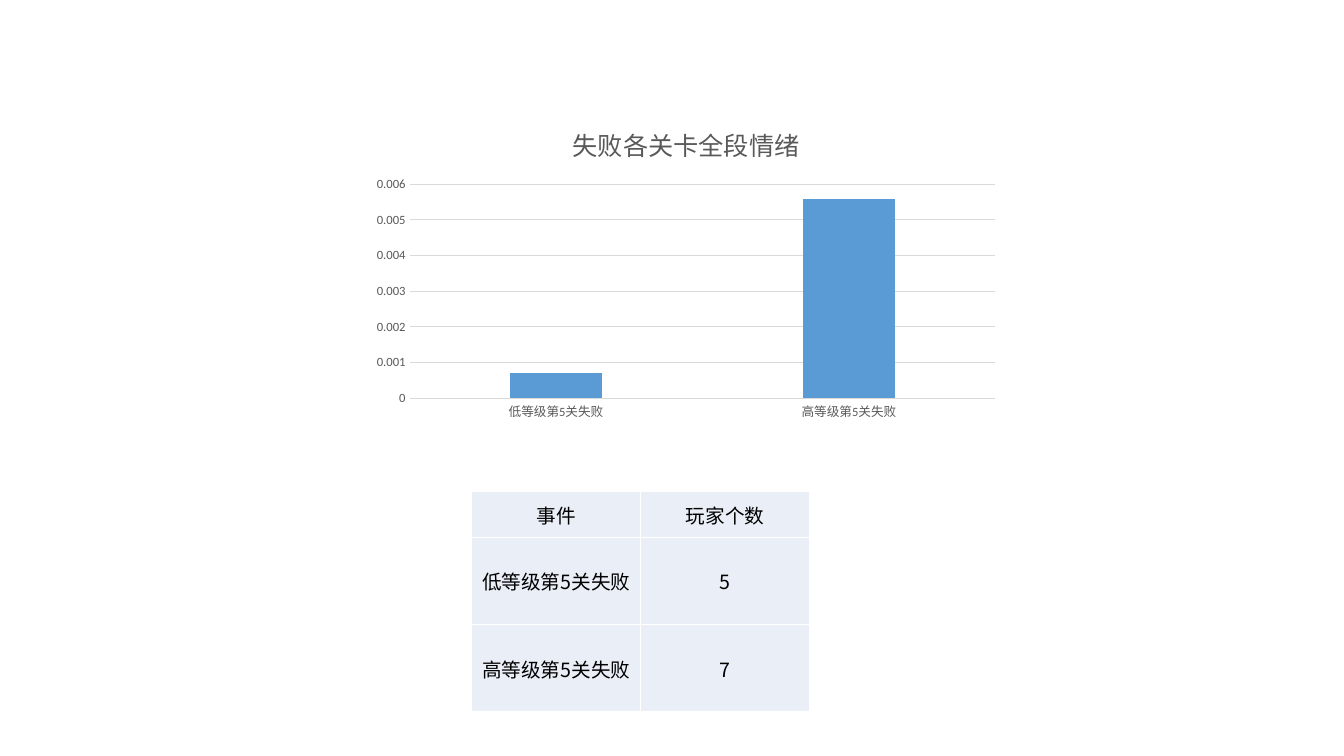
from lxml.etree import SubElement
from pptx import Presentation
from pptx.chart.data import CategoryChartData
from pptx.dml.color import RGBColor
from pptx.enum.chart import XL_CHART_TYPE, XL_TICK_MARK
from pptx.enum.text import MSO_ANCHOR, PP_ALIGN
from pptx.oxml.ns import qn
from pptx.util import Inches, Pt

COLORS = {"background": "FFFFFF", "bar": "5B9BD5", "label": "595959",
          "grid": "D9D9D9", "cell": "EAEFF7", "text": "000000"}
CHART_FONT, TABLE_FONT = "Calibri", "Noto Sans CJK SC"
LEVELS = ["低等级第5关失败", "高等级第5关失败"]
EMOTION = [0.0007, 0.0056]
ROWS = [("事件", "玩家个数"), *zip(LEVELS, ("5", "7"))]
ROW_SHARES = (0.206, 0.397, 0.397)


def rgb(name):
    """Return a named colour."""
    return RGBColor.from_string(COLORS[name])


def apply(target, values):
    """Set attributes from a dict of format values."""
    for name, value in values.items():
        setattr(target, name, value)


def style_font(font, size, color, name):
    """Set size, colour and typeface of a font."""
    apply(font, {"size": Pt(size), "name": name, "bold": False})
    font.color.rgb = rgb(color)


def style_line(line):
    """Draw a thin grid-coloured line."""
    line.color.rgb = rgb("grid")
    line.width = Pt(0.75)


def add_emotion_chart(s, box):
    """Place the column chart in its box."""
    data = CategoryChartData()
    data.categories = LEVELS
    data.add_series("Series 1", EMOTION)
    chart = s.shapes.add_chart(XL_CHART_TYPE.COLUMN_CLUSTERED, *box, data).chart
    style_font(chart.font, 10, "text", CHART_FONT)
    apply(chart, {"has_legend": False, "has_title": True})
    tf = chart.chart_title.text_frame
    tf.text = "失败各关卡全段情绪"
    style_font(tf.paragraphs[0].runs[0].font, 18, "label", CHART_FONT)
    chart.chart_title.include_in_layout = False
    plot = chart.plots[0]
    apply(plot, {"gap_width": 219, "overlap": -27, "vary_by_categories": False})
    bars = plot.series[0].format.fill
    bars.solid()
    bars.fore_color.rgb = rgb("bar")
    for axis in (chart.category_axis, chart.value_axis):
        apply(axis, {"major_tick_mark": XL_TICK_MARK.NONE,
                     "minor_tick_mark": XL_TICK_MARK.NONE})
        style_font(axis.tick_labels.font, 9, "label", CHART_FONT)
    style_line(chart.category_axis.format.line)
    values = chart.value_axis
    apply(values, {"minimum_scale": 0, "maximum_scale": 0.006,
                   "major_unit": 0.001, "has_major_gridlines": True})
    values.format.line.fill.background()
    style_line(values.major_gridlines.format.line)


def fill_cell(cell, text):
    """Write one cell with its borders, fill and centred text."""
    tcPr = cell._tc.get_or_add_tcPr()
    for side in ("a:lnL", "a:lnR", "a:lnT", "a:lnB"):
        ln = SubElement(tcPr, qn(side), w=str(Pt(1)))
        fill = SubElement(ln, qn("a:solidFill"))
        SubElement(fill, qn("a:srgbClr"), val=COLORS["background"])
    cell.fill.solid()
    cell.fill.fore_color.rgb = rgb("cell")
    apply(cell, {"vertical_anchor": MSO_ANCHOR.MIDDLE, "margin_left": Inches(0.01),
                 "margin_right": Inches(0.01), "margin_top": Inches(0.01),
                 "margin_bottom": 0})
    p = cell.text_frame.paragraphs[0]
    p.alignment = PP_ALIGN.CENTER
    r = p.add_run()
    r.text = text
    style_font(r.font, 14, "text", TABLE_FONT)
    SubElement(r._r.get_or_add_rPr(), qn("a:ea"), typeface=TABLE_FONT)


def add_player_table(s, box):
    """Place the table of player counts in its box."""
    width, height = box[2:]
    table = s.shapes.add_table(len(ROWS), len(ROWS[0]), *box).table
    apply(table, {"first_row": False, "horz_banding": False})
    for column in table.columns:
        column.width = int(width / len(ROWS[0]))
    for i, (share, texts) in enumerate(zip(ROW_SHARES, ROWS)):
        table.rows[i].height = int(height * share)
        for j, text in enumerate(texts):
            fill_cell(table.cell(i, j), text)


def main():
    """Build the slide and save it."""
    prs = Presentation()
    apply(prs, {"slide_width": Inches(13.33), "slide_height": Inches(7.5)})
    s = prs.slides.add_slide(prs.slide_layouts[6])
    s.background.fill.solid()
    s.background.fill.fore_color.rgb = rgb("background")
    add_emotion_chart(s, [Inches(v) for v in (3.61, 1.06, 6.39, 3.17)])
    add_player_table(s, [Inches(v) for v in (4.68, 4.88, 3.35, 2.18)])
    prs.save("out.pptx")


if __name__ == "__main__":
    main()
